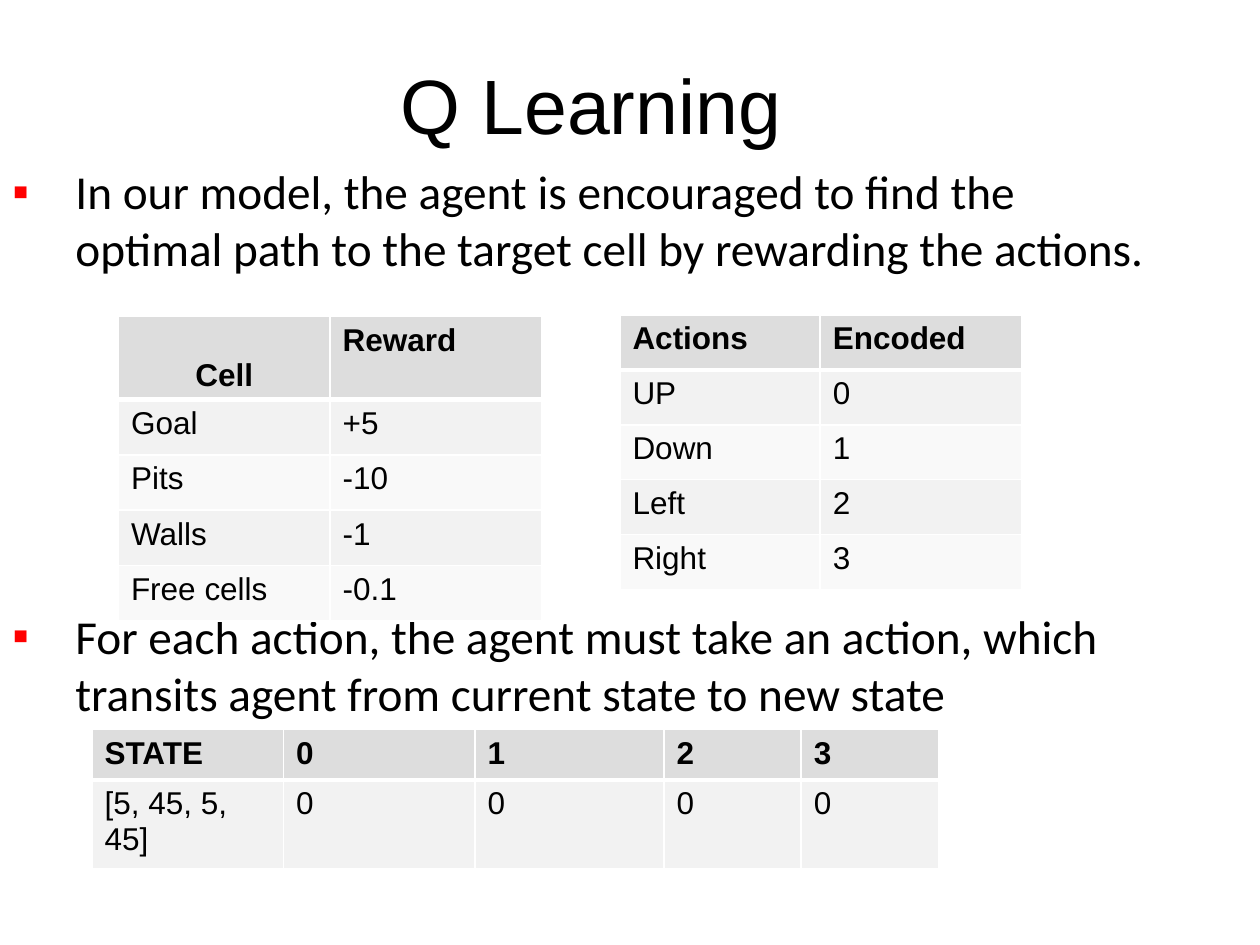
from lxml.etree import SubElement
from pptx import Presentation
from pptx.dml.color import RGBColor
from pptx.enum.text import MSO_ANCHOR, PP_ALIGN
from pptx.oxml.ns import qn
from pptx.util import Emu, Inches, Pt

COLORS = {"text": "000000", "bullet": "FF0000", "border": "FFFFFF",
          "header": "DDDDDD", "odd": "F2F2F2", "even": "F9F9F9"}

TITLE = "Q Learning"
# Top of each bullet's box, in inches, and its text
BULLETS = [
    (1.24, "In our model, the agent is encouraged to find the optimal path "
           "to the target cell by rewarding the actions."),
    (4.77, "For each action, the agent must take an action, which transits agent "
           "from current state to new state"),
]
TABLES = [
    {"left": 0.94, "top": 2.51,
     "columns": [1.68] * 2, "rows": [0.66] + [0.44] * 4,
     "cells": [["Cell", "Reward"], ["Goal", "+5"], ["Pits", "-10"],
               ["Walls", "-1"], ["Free cells", "-0.1"]]},
    {"left": 4.92, "top": 2.5,
     "columns": [1.59, 1.6], "rows": [2.18 / 5] * 5,
     "cells": [["Actions", "Encoded"], ["UP", "0"], ["Down", "1"],
               ["Left", "2"], ["Right", "3"]]},
    {"left": 0.73, "top": 5.79,
     "columns": [1.52, 1.52, 1.5, 1.09, 1.09], "rows": [0.37, 0.65],
     "cells": [["STATE", "0", "1", "2", "3"],
               ["[5, 45, 5, 45]", "0", "0", "0", "0"]]},
]


def color(name):
    return RGBColor.from_string(COLORS[name])


def set_font(paragraph, name, size, bold=False):
    paragraph.font.name = name
    paragraph.font.size = Pt(size)
    paragraph.font.bold = bold
    paragraph.font.color.rgb = color("text")


def add_bullet(paragraph, indent):
    properties = paragraph._p.get_or_add_pPr()
    properties.set("marL", str(Inches(indent)))
    properties.set("indent", str(-Inches(indent)))
    bullet_color = SubElement(properties, qn("a:buClr"))
    SubElement(bullet_color, qn("a:srgbClr"), val=COLORS["bullet"])
    SubElement(properties, qn("a:buFont"), typeface="Arial")
    SubElement(properties, qn("a:buChar"), char="▪")


def set_borders(cell, is_header):
    """Draw thin lines, with a thick one below the header."""
    properties = cell._tc.get_or_add_tcPr()
    for side in "LRTB":
        width = Pt(3 if is_header and side == "B" else 1)
        line = SubElement(properties, qn(f"a:ln{side}"), w=str(width))
        fill = SubElement(line, qn("a:solidFill"))
        SubElement(fill, qn("a:srgbClr"), val=COLORS["border"])


def add_table(slide, data):
    columns, rows = data["columns"], data["rows"]
    table = slide.shapes.add_table(
        len(rows), len(columns), Inches(data["left"]), Inches(data["top"]),
        Inches(sum(columns)), Inches(sum(rows))).table
    for column, width in zip(table.columns, columns):
        column.width = Inches(width)
    for index, (row, height) in enumerate(zip(table.rows, rows)):
        row.height = Inches(height)
        is_header = index == 0
        fill_name = "header" if is_header else ("even", "odd")[index % 2]
        for cell, text in zip(row.cells, data["cells"][index]):
            cell.text = text
            set_font(cell.text_frame.paragraphs[0], "Arial", 18, bold=is_header)
            set_borders(cell, is_header)
            cell.fill.solid()
            cell.fill.fore_color.rgb = color(fill_name)
    return table


def main():
    presentation = Presentation()
    presentation.slide_width, presentation.slide_height = Inches(10), Inches(7.5)
    slide = presentation.slides.add_slide(presentation.slide_layouts[5])

    title = slide.shapes.title
    title.left, title.top = Inches(0.25), Emu(0)
    title.width, title.height = Inches(8.88), Inches(1.24)
    title.text = TITLE
    title.text_frame.vertical_anchor = MSO_ANCHOR.BOTTOM
    title.text_frame.paragraphs[0].alignment = PP_ALIGN.CENTER
    set_font(title.text_frame.paragraphs[0], "Arial", 44)

    for top, text in BULLETS:
        box = slide.shapes.add_textbox(0, Inches(top), Inches(9.38), Inches(1))
        box.text_frame.word_wrap = True
        paragraph = box.text_frame.paragraphs[0]
        paragraph.text = text
        add_bullet(paragraph, 0.5)
        set_font(paragraph, "Calibri", 27)

    rewards, *_ = [add_table(slide, data) for data in TABLES]
    cell_header = rewards.cell(0, 0)
    cell_header.vertical_anchor = MSO_ANCHOR.BOTTOM
    cell_header.text_frame.paragraphs[0].alignment = PP_ALIGN.CENTER

    presentation.save("out.pptx")


if __name__ == "__main__":
    main()
